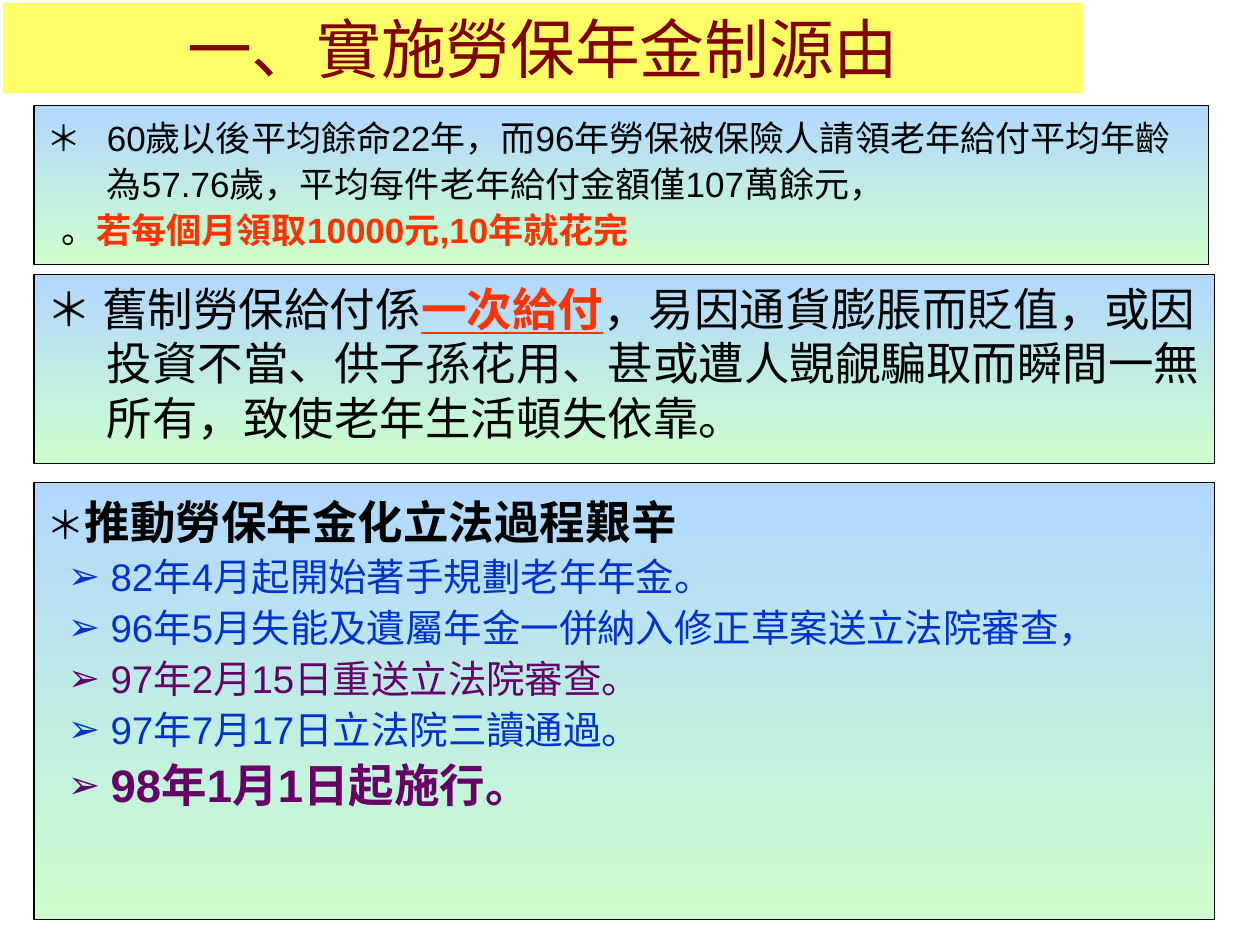
from lxml.etree import SubElement
from pptx import Presentation
from pptx.dml.color import RGBColor
from pptx.enum.shapes import MSO_SHAPE
from pptx.enum.text import MSO_ANCHOR, PP_ALIGN
from pptx.oxml.ns import qn
from pptx.util import Inches, Pt

COLORS = {
    "banner": "FFFF66", "title": "800000", "edge": "FFFFFF",
    "sky": "B1D8FF", "mint": "CCFFCC", "ink": "000000",
    "alert": "FF3300", "blue": "0033CC", "purple": "660066",
}
LATIN, CJK = "Arial", "Noto Sans CJK TC"


def rgb(name):
    """Return the named palette colour."""
    return RGBColor.from_string(COLORS[name])


def add_box(slide, box, edge, edge_width):
    """Add an outlined rectangle at a box given in inches."""
    panel = slide.shapes.add_shape(MSO_SHAPE.RECTANGLE, *map(Inches, box))
    panel.shadow.inherit = False
    panel.line.color.rgb = rgb(edge)
    panel.line.width = Pt(edge_width)
    panel.text_frame.word_wrap = True
    panel.text_frame.vertical_anchor = MSO_ANCHOR.TOP
    return panel


def add_panel(slide, box):
    """Add a gradient text panel and return its text frame."""
    panel = add_box(slide, box, "ink", 0.75)
    panel.fill.gradient()
    panel.fill.gradient_angle = 270
    for stop, name, position in zip(panel.fill.gradient_stops, ("sky", "mint"), (0, 1)):
        stop.color.rgb = rgb(name)
        stop.position = position
    return panel.text_frame


def style_font(font, size=None, color=None, bold=None, underline=None):
    """Apply the given text attributes to a font."""
    if size:
        font.size = Pt(size)
    if color:
        font.color.rgb = rgb(color)
    if bold is not None:
        font.bold = bold
    if underline is not None:
        font.underline = underline


def write_line(frame, runs, size, color="ink", left=0, hang=0, spacing=1.0,
               bold=False, bullet_size=None, align=PP_ALIGN.LEFT):
    """Write one paragraph of (text, overrides) runs into a frame."""
    first = frame.paragraphs[0]
    line = frame.add_paragraph() if first.runs else first
    line.alignment = align
    line.line_spacing = spacing
    props = line._p.get_or_add_pPr()
    props.set("marL", str(Inches(left)))
    props.set("indent", str(-Inches(hang)))
    if bullet_size:
        SubElement(props, qn("a:buSzPct"), val=str(bullet_size * 1000))
        SubElement(props, qn("a:buFont"), typeface=LATIN)
        SubElement(props, qn("a:buChar"), char="➢")
    line.font.name = LATIN
    style_font(line.font, size, color, bold)
    SubElement(props.find(qn("a:defRPr")), qn("a:ea"), typeface=CJK)
    for text, overrides in runs:
        run = line.add_run()
        run.text = text
        style_font(run.font, **overrides)


def add_title(slide, box):
    """Place the yellow title banner."""
    banner = add_box(slide, box, "edge", 3)
    banner.fill.solid()
    banner.fill.fore_color.rgb = rgb("banner")
    banner.text_frame.vertical_anchor = MSO_ANCHOR.MIDDLE
    write_line(banner.text_frame, [("一、實施勞保年金制源由", {})], 37, "title",
               align=PP_ALIGN.CENTER)


def add_life_expectancy(slide, box):
    """Place the panel on life expectancy and the average payment."""
    frame = add_panel(slide, box)
    write_line(frame, [("＊\t60歲以後平均餘命22年，而96年勞保被保險人請領老年給付平均年"
                        "齡為57.76歲，平均每件老年給付金額僅107萬餘元，", {})],
               20, left=0.48, hang=0.48, spacing=1.1)
    write_line(frame, [("。", {}),
                       ("若每個月領取10000元,10年就花完", {"color": "alert", "bold": True})],
               20, left=0.12, spacing=1.1)


def add_lump_sum(slide, box):
    """Place the panel on the weakness of the lump-sum payment."""
    write_line(add_panel(slide, box), [
        ("＊ 舊制勞保給付係", {}),
        ("一次給付", {"color": "alert", "bold": True, "underline": True}),
        ("，易因通貨膨脹而貶值，或因投資不當、供子孫花用、甚或遭人覬覦騙取而瞬間一無所有，"
         "致使老年生活頓失依靠。", {}),
    ], 26, left=0.48, hang=0.48)


def add_legislation(slide, box):
    """Place the panel with the legislative milestones."""
    frame = add_panel(slide, box)
    write_line(frame, [("＊", {}), ("推動勞保年金化立法過程艱辛", {"size": 26, "bold": True})],
               22, left=0.58, hang=0.58, spacing=1.1)
    milestones = [
        ("82年4月起開始著手規劃老年年金。", "blue", 22, False),
        ("96年5月失能及遺屬年金一併納入修正草案送立法院審查，", "blue", 22, False),
        ("97年2月15日重送立法院審查。", "purple", 22, False),
        ("97年7月17日立法院三讀通過。", "blue", 22, False),
        ("98年1月1日起施行。", "purple", 26, True),
    ]
    for text, color, size, bold in milestones:
        write_line(frame, [(text, {})], size, color, left=0.51, hang=0.34, spacing=1.1,
                   bold=bold, bullet_size=round(100 * 22 / size))


def main():
    """Build the slide and save it."""
    deck = Presentation()
    deck.slide_width, deck.slide_height = Inches(10), Inches(7.5)
    slide = deck.slides.add_slide(deck.slide_layouts[6])
    add_title(slide, (0, 0, 8.62, 0.76))
    add_life_expectancy(slide, (0.27, 0.84, 9.32, 1.26))
    add_lump_sum(slide, (0.27, 2.18, 9.37, 1.5))
    add_legislation(slide, (0.27, 3.83, 9.37, 3.47))
    deck.save("out.pptx")


if __name__ == "__main__":
    main()
